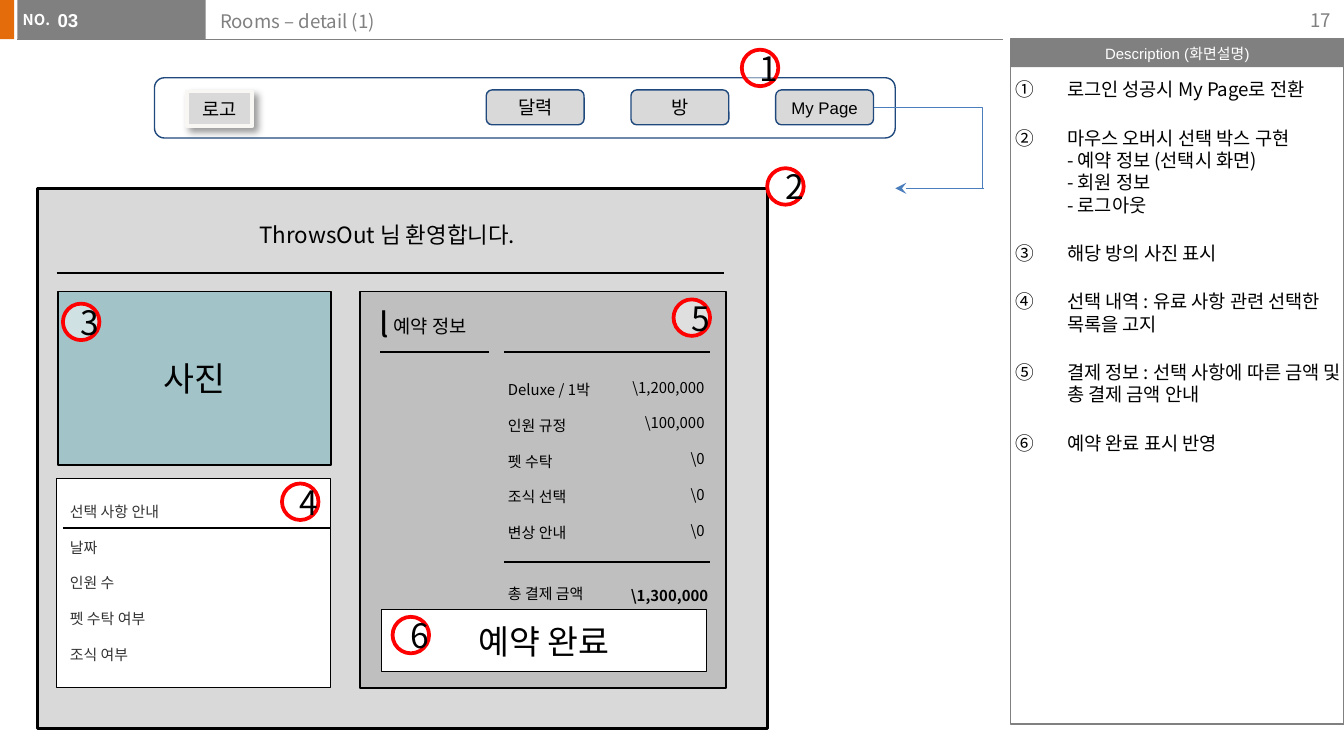
"""Build the room reservation wireframe slide with its description column."""
from lxml import etree
from pptx import Presentation
from pptx.dml.color import RGBColor
from pptx.enum.shapes import MSO_CONNECTOR, MSO_SHAPE
from pptx.enum.text import MSO_ANCHOR, PP_ALIGN
from pptx.oxml.ns import qn
from pptx.util import Cm, Pt

RECT, ROUND, OVAL = MSO_SHAPE.RECTANGLE, MSO_SHAPE.ROUNDED_RECTANGLE, MSO_SHAPE.OVAL
STRAIGHT, ELBOW = MSO_CONNECTOR.STRAIGHT, MSO_CONNECTOR.ELBOW
TOP, MIDDLE = MSO_ANCHOR.TOP, MSO_ANCHOR.MIDDLE
LEFT, CENTER, RIGHT = PP_ALIGN.LEFT, PP_ALIGN.CENTER, PP_ALIGN.RIGHT
NOTO = "Noto Sans CJK KR"
BLACK, WHITE, GRAY, PALE = "000000", "FFFFFF", "808080", "D9D9D9"
NAVY, BLUE, RED = "1F497D", "4B7EBC", "FF0000"

deck = Presentation()
deck.slide_width, deck.slide_height = Cm(25.4), Cm(14.29)
page = deck.slides.add_slide(deck.slide_layouts[5])


def add_box(kind, place, fill=None, line=None, weight=0.75):
    """Add a preset shape, or a text box when kind is None."""
    place = [Cm(length) for length in place]
    if kind is None:
        return page.shapes.add_textbox(*place)
    box = page.shapes.add_shape(kind, *place)
    box.shadow.inherit = False
    if fill:
        box.fill.solid()
        box.fill.fore_color.rgb = RGBColor.from_string(fill)
    else:
        box.fill.background()
    if line:
        box.line.color.rgb = RGBColor.from_string(line)
        box.line.width = Pt(weight)
    else:
        box.line.fill.background()
    return box


def write(box, text, size=10, font=NOTO, color=BLACK, bold=False, align=LEFT, anchor=TOP,
          margins=(0.25, 0.13, 0.25, 0.13), spacing=None, before=0, numbered=False):
    """Fill a box with one paragraph per line of text."""
    frame = box.text_frame
    frame.word_wrap = True
    frame.vertical_anchor = anchor
    frame.margin_left, frame.margin_top, frame.margin_right, frame.margin_bottom = map(Cm, margins)
    for index, line in enumerate(text.split("\n")):
        para = frame.add_paragraph() if index else frame.paragraphs[0]
        para.alignment = align
        para.line_spacing = spacing
        para.space_before = Pt(before if index else 0)
        if numbered:
            props = para._p.get_or_add_pPr()
            props.set("marL", str(Cm(0.97)))
            props.set("indent", str(-Cm(0.97)))
            etree.SubElement(props, qn("a:buFont"), typeface=NOTO)
            etree.SubElement(props, qn("a:buAutoNum"), type="circleNumDbPlain")
        for part_index, part in enumerate(line.split("\v")):
            if part_index:
                para.add_line_break()
            span = para.add_run()
            span.text = part
            span.font.size = Pt(size)
            span.font.bold = bold
            span.font.color.rgb = RGBColor.from_string(color)
            span.font.name = font
            etree.SubElement(span.font._element, qn("a:ea"), typeface=NOTO)


add_box(RECT, (-0.03, 0, 0.3, 0.74), "E46C0A")
add_box(RECT, (0.33, 0, 3.56, 0.74), GRAY)
write(add_box(None, (0.18, 0.08, 1.3, 0.61)), "NO.", size=8, color=WHITE, bold=True)
write(add_box(None, (1.09, 0.03, 2.79, 0.79)), "03", font="Arial", color=WHITE, bold=True,
      margins=(0, 0.13, 0, 0.13))
title = page.shapes.title
title.left, title.top, title.width, title.height = Cm(3.91), Cm(0.05), Cm(15.01), Cm(0.81)
write(title, "Rooms – detail (1)", color=GRAY)
write(add_box(None, (23.88, 0, 1.52, 0.76)), "17", color=GRAY, align=RIGHT, anchor=MIDDLE)

write(add_box(RECT, (19.1, 0.74, 6.3, 0.53), GRAY), "Description (화면설명)", size=8,
      font="Arial", color=WHITE, align=CENTER, anchor=MIDDLE, margins=(0.23, 0.1, 0.23, 0.1))
add_box(RECT, (19.1, 0.74, 6.3, 12.95), line=GRAY)
descriptions = [
    "로그인 성공시 My Page로 전환",
    "마우스 오버시 선택 박스 구현\v- 예약 정보 (선택시 화면)\v- 회원 정보\v- 로그아웃",
    "해당 방의 사진 표시",
    "선택 내역 : 유료 사항 관련 선택한 목록을 고지",
    "결제 정보 : 선택 사항에 따른 금액 및 총 결제 금액 안내",
    "예약 완료 표시 반영",
]
write(add_box(None, (19.1, 1.35, 6.3, 12.4)), "\n".join(descriptions),
      margins=(0.1, 0.13, 0, 0.13), before=13.8, numbered=True)

add_box(ROUND, (2.92, 1.47, 14, 1.14), WHITE, NAVY)
for index, (label, size) in enumerate([("달력", 10), ("방", 10), ("My Page", 9)]):
    menu_button = add_box(ROUND, (9.19 + 2.735 * index, 1.7, 1.85, 0.66), PALE, NAVY)
    write(menu_button, label, size=size, font="Arial", align=CENTER, anchor=MIDDLE)
logo = add_box(RECT, (3.53, 1.73, 1.24, 0.66), PALE, "F8F7F3", 2)
write(logo, "로고", align=CENTER, anchor=MIDDLE)
shadow = etree.SubElement(logo.element.spPr.find(qn("a:effectLst")), qn("a:outerShdw"),
                          blurRad=str(Pt(4)), dist=str(Pt(3)), dir="2700000")
shadow_color = etree.SubElement(shadow, qn("a:srgbClr"), val=BLACK)
etree.SubElement(shadow_color, qn("a:alpha"), val="40000")

add_box(RECT, (0.71, 3.56, 13.79, 10.21), PALE, BLACK, 1.5)
add_box(RECT, (6.81, 5.51, 6.91, 7.49), "BFBFBF", BLACK, 1)
photo = add_box(RECT, (1.09, 5.51, 5.16, 3.28), "A2C4C9", BLACK, 1)
write(photo, "사진", size=18, align=CENTER, anchor=MIDDLE)
done_button = add_box(RECT, (7.21, 11.53, 6.15, 1.17), WHITE, BLACK, 0.5)
write(done_button, "예약 완료", size=18, align=CENTER, anchor=MIDDLE)
options = add_box(RECT, (1.07, 9.04, 5.18, 3.96), WHITE, BLACK, 0.5)
write(options, "선택 사항 안내\n날짜\n인원 수\n펫 수탁 여부\n조식 여부", size=8, font="Cabin",
      color="333333", anchor=MIDDLE, before=9.6)

write(add_box(None, (4.65, 4.06, 6.2, 0.76)), "ThrowsOut 님 환영합니다.", size=12)
write(add_box(None, (6.93, 5.61, 0.66, 1.02)), "l", size=18)
write(add_box(None, (7.19, 5.82, 2.2, 0.69)), "예약 정보")
write(add_box(None, (9.35, 6.73, 2.4, 3.56)),
      "Deluxe / 1박\n인원 규정\n펫 수탁\n조식 선택\n변상 안내", size=8, spacing=2.0)
write(add_box(None, (11.61, 6.68, 1.96, 3.56)),
      "\\1,200,000\n\\100,000\n\\0\n\\0\n\\0", size=8, align=RIGHT, spacing=2.0)
write(add_box(None, (9.35, 10.59, 2.26, 0.84)), "총 결제 금액", size=8, spacing=2.0)
write(add_box(None, (11.38, 10.62, 2.26, 0.84)), "\\1,300,000", size=8, bold=True,
      align=RIGHT, spacing=2.0)

for kind, left, top, right, bottom, color, weight in [
    (STRAIGHT, 0.33, 0.74, 18.95, 0.74, GRAY, 0.5),
    (STRAIGHT, 1.07, 5.16, 13.69, 5.16, BLACK, 1.25),
    (STRAIGHT, 1.19, 9.98, 6.25, 9.98, BLACK, 0.75),
    (STRAIGHT, 7.19, 6.65, 9.25, 6.65, BLACK, 0.75),
    (STRAIGHT, 9.53, 6.65, 13.41, 6.65, BLACK, 0.75),
    (STRAIGHT, 9.53, 10.62, 13.41, 10.62, BLACK, 1),
    (STRAIGHT, 16.92, 3.56, 18.59, 3.56, BLUE, 0.75),
    (ELBOW, 16.51, 2.01, 18.59, 3.56, BLUE, 0.75),
]:
    rule = page.shapes.add_connector(kind, Cm(left), Cm(top), Cm(right), Cm(bottom))
    rule.line.color.rgb = RGBColor.from_string(color)
    rule.line.width = Pt(weight)
    etree.SubElement(rule.element.spPr, qn("a:effectLst"))
    if kind == ELBOW:
        rule.begin_connect(menu_button, 3)
        bends = rule.element.spPr.find(qn("a:prstGeom")).find(qn("a:avLst"))
        etree.SubElement(bends, qn("a:gd"), name="adj1", fmla="val 98800")
    elif color == BLUE:
        etree.SubElement(rule.line._get_or_add_ln(), qn("a:headEnd"), type="stealth")

marker_places = [(14.02, 0.94), (14.5, 3.18), (1.19, 5.74), (5.33, 9.14), (12.73, 5.66), (7.42, 11.66)]
for number, (left, top) in enumerate(marker_places, 1):
    marker = add_box(OVAL, (left, top, 0.69, 0.69), WHITE, RED, 2)
    write(marker, str(number), size=18, align=CENTER, anchor=MIDDLE)
    marker_fill = marker.element.spPr.find(qn("a:solidFill")).find(qn("a:srgbClr"))
    etree.SubElement(marker_fill, qn("a:alpha"), val="50000")

deck.save("out.pptx")
